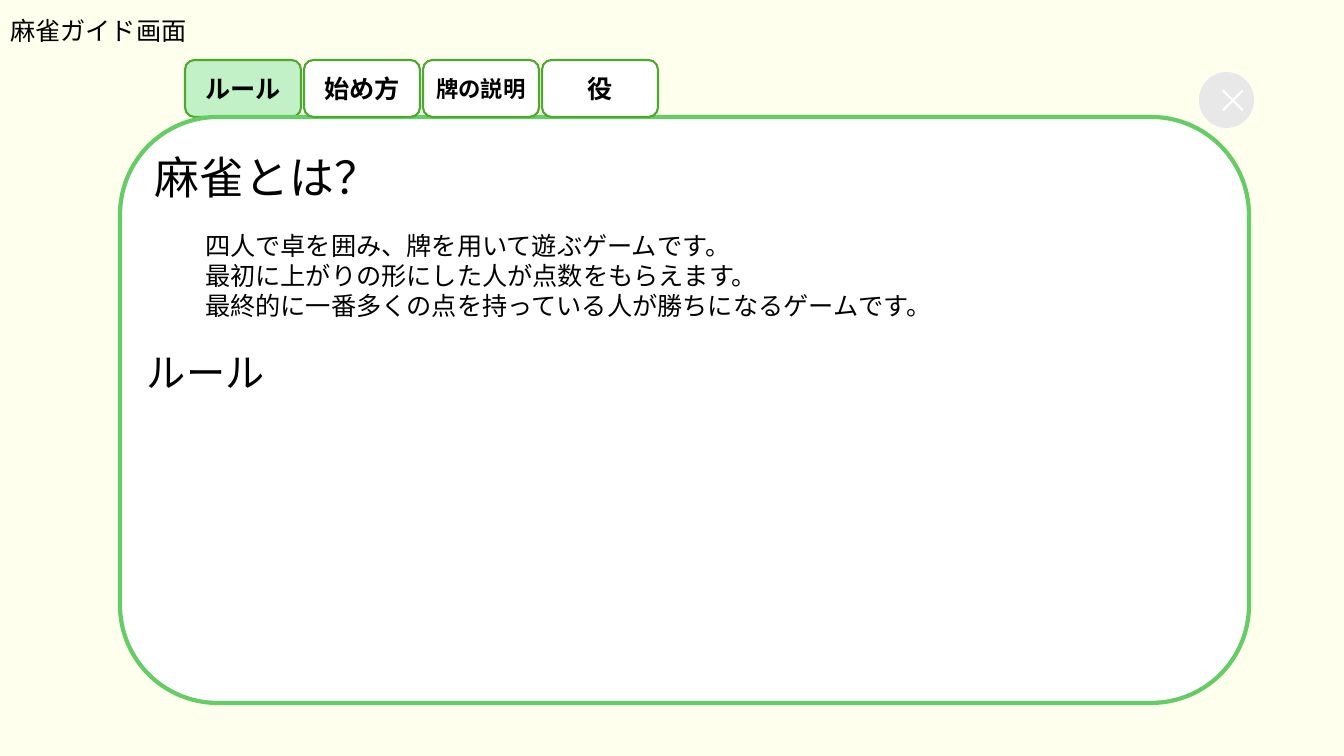
from lxml import etree
from pptx import Presentation
from pptx.dml.color import RGBColor
from pptx.enum.shapes import MSO_SHAPE
from pptx.enum.text import MSO_ANCHOR, MSO_AUTO_SIZE, PP_ALIGN
from pptx.oxml.ns import qn
from pptx.util import Emu, Pt

ROUNDED, OVAL = MSO_SHAPE.ROUNDED_RECTANGLE, MSO_SHAPE.OVAL
LEFT, CENTER = PP_ALIGN.LEFT, PP_ALIGN.CENTER
TOP, MIDDLE = MSO_ANCHOR.TOP, MSO_ANCHOR.MIDDLE
NO_AUTOFIT = MSO_AUTO_SIZE.NONE

# Content: text, point size and fill of each tab
SCREEN_NAME = "麻雀ガイド画面"
TABS = [
    ("ルール", 18, "C2F1C8"),
    ("始め方", 18, "FFFFFF"),
    ("牌の説明", 16, "FFFFFF"),
    ("役", 18, "FFFFFF"),
]
INTRO_HEADING = "麻雀とは？"
INTRO_LINES = [
    "四人で卓を囲み、牌を用いて遊ぶゲームです。",
    "最初に上がりの形にした人が点数をもらえます。",
    "最終的に一番多くの点を持っている人が勝ちになるゲームです。",
]
RULES_HEADING = "ルール"
CLOSE_SIGN = "×"

# Layout in px (left, top, width, height)
SLIDE_W, SLIDE_H = 1344, 756
EMU_PER_PX = 12192000 / SLIDE_W
SCREEN_NAME_BOX = (0, 10, 199, 40)
TAB_LEFT, TAB_TOP, TAB_W, TAB_H, TAB_GAP = 185, 60, 116, 57, 3
PANEL_BOX = (120, 117, 1129, 586)
CLOSE_BOX = (1199, 72, 55, 56)
INTRO_HEADING_BOX = (145, 145, 247, 65)
INTRO_BOX = (195, 225, 758, 102)
RULES_HEADING_BOX = (137, 343, 212, 57)

FONT = "Noto Sans CJK JP"


def px(value):
    return Emu(round(value * EMU_PER_PX))


def color(hex_code):
    return RGBColor.from_string(hex_code)


def place(shape, box):
    shape.left, shape.top, shape.width, shape.height = map(px, box)


def write(shape, text, size=18, bold=False, ink="000000", align=LEFT,
          anchor=TOP, wrap=True):
    """Fill a shape with text, one unbulleted paragraph per line."""
    frame = shape.text_frame
    frame.text = text
    frame.auto_size = NO_AUTOFIT
    frame.word_wrap = wrap
    frame.vertical_anchor = anchor
    for paragraph in frame.paragraphs:
        properties = paragraph._p.get_or_add_pPr()
        properties.set("marL", "0")
        properties.set("indent", "0")
        etree.SubElement(properties, qn("a:buNone"))
        paragraph.alignment = align
        paragraph.space_before = Pt(0)
        for run in paragraph.runs:
            run.font.name = FONT
            run.font.size = Pt(size)
            run.font.bold = bold
            run.font.color.rgb = color(ink)
            latin = run.font._element.find(qn("a:latin"))
            east_asian = etree.Element(qn("a:ea"), typeface=FONT)
            latin.addnext(east_asian)


def add_box(slide, kind, box, fill, line=None, line_width=1.5):
    shape = slide.shapes.add_shape(kind, *map(px, box))
    shape.shadow.inherit = False
    shape.fill.solid()
    shape.fill.fore_color.rgb = color(fill)
    if line:
        shape.line.color.rgb = color(line)
        shape.line.width = Pt(line_width)
    else:
        shape.line.fill.background()
    return shape


def add_tab(slide, index):
    label, size, fill = TABS[index]
    left = TAB_LEFT + index * (TAB_W + TAB_GAP)
    tab = add_box(slide, ROUNDED, (left, TAB_TOP, TAB_W, TAB_H), fill, "4EA72E")
    write(tab, label, size=size, bold=True, align=CENTER, anchor=MIDDLE)


def add_heading(slide, box, text, size):
    heading = slide.shapes.add_textbox(*map(px, box))
    write(heading, text, size=size, wrap=False)


def main():
    presentation = Presentation()
    presentation.slide_width, presentation.slide_height = px(SLIDE_W), px(SLIDE_H)
    slide = presentation.slides.add_slide(presentation.slide_layouts[1])
    slide.background.fill.solid()
    slide.background.fill.fore_color.rgb = color("FFFFEE")

    screen_name, intro = slide.placeholders
    place(screen_name, SCREEN_NAME_BOX)
    write(screen_name, SCREEN_NAME, wrap=False)

    # The open tab sits behind the panel, the others in front of it
    add_tab(slide, 0)
    add_box(slide, ROUNDED, PANEL_BOX, "FFFFFF", "66CC66", 3)
    for index in range(1, len(TABS)):
        add_tab(slide, index)

    add_heading(slide, INTRO_HEADING_BOX, INTRO_HEADING, 32)
    close_button = add_box(slide, OVAL, CLOSE_BOX, "E8E8E8")
    write(close_button, CLOSE_SIGN, size=24, ink="FFFFFF", align=CENTER,
          anchor=MIDDLE)

    place(intro, INTRO_BOX)
    write(intro, "\n".join(INTRO_LINES), wrap=False)
    intro.element.getparent().append(intro.element)  # in front of the panel
    add_heading(slide, RULES_HEADING_BOX, RULES_HEADING, 28)

    presentation.save("out.pptx")


if __name__ == "__main__":
    main()
